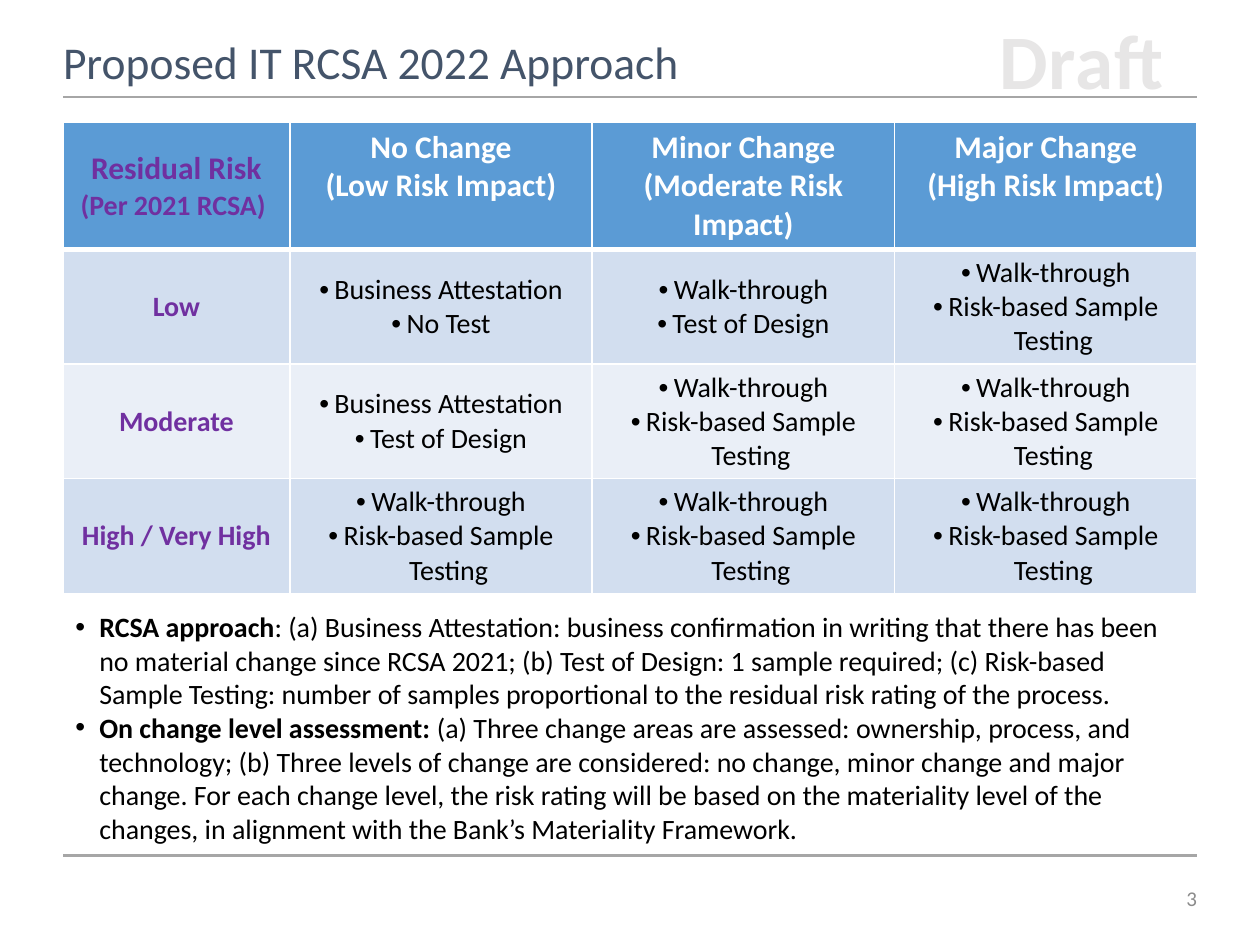
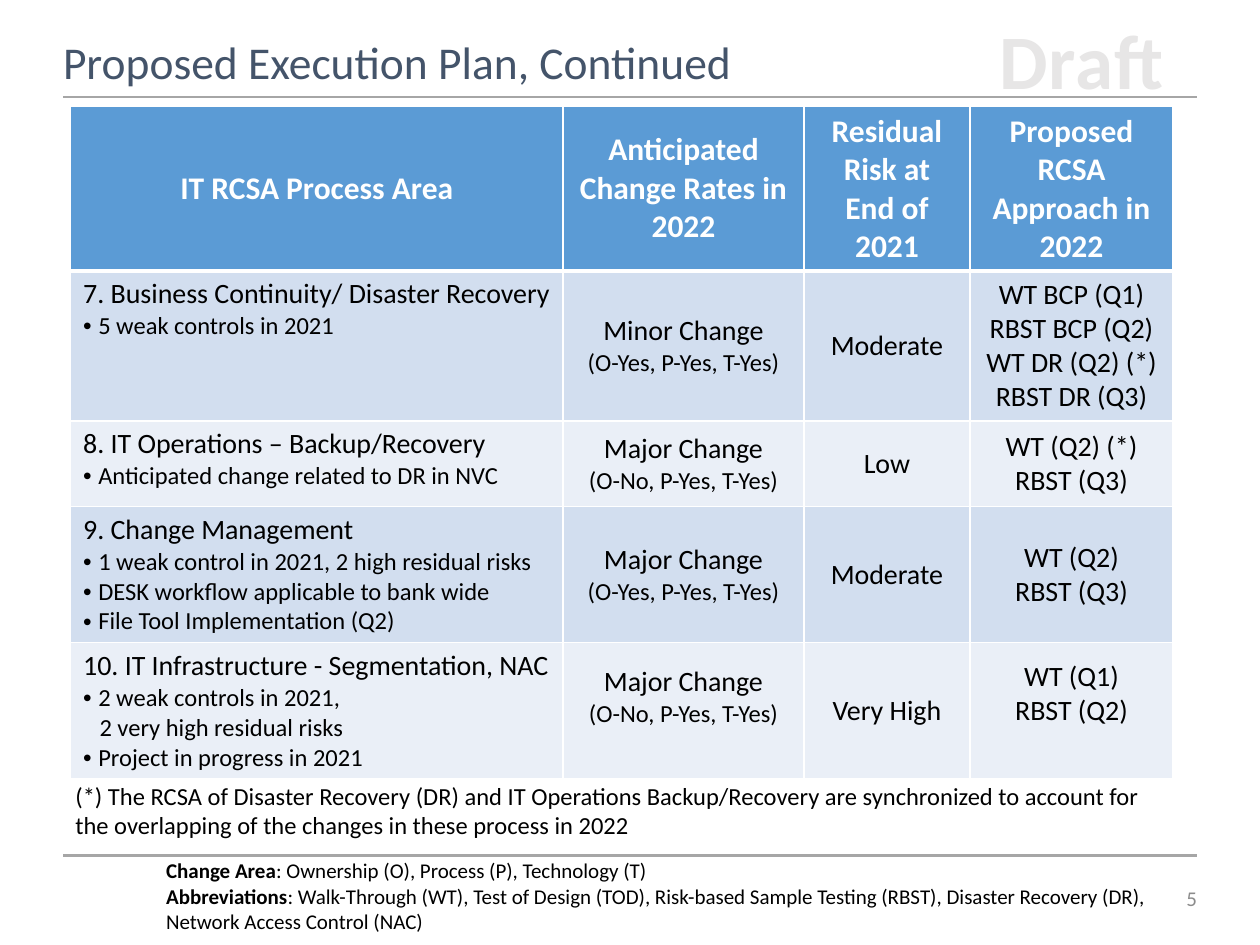
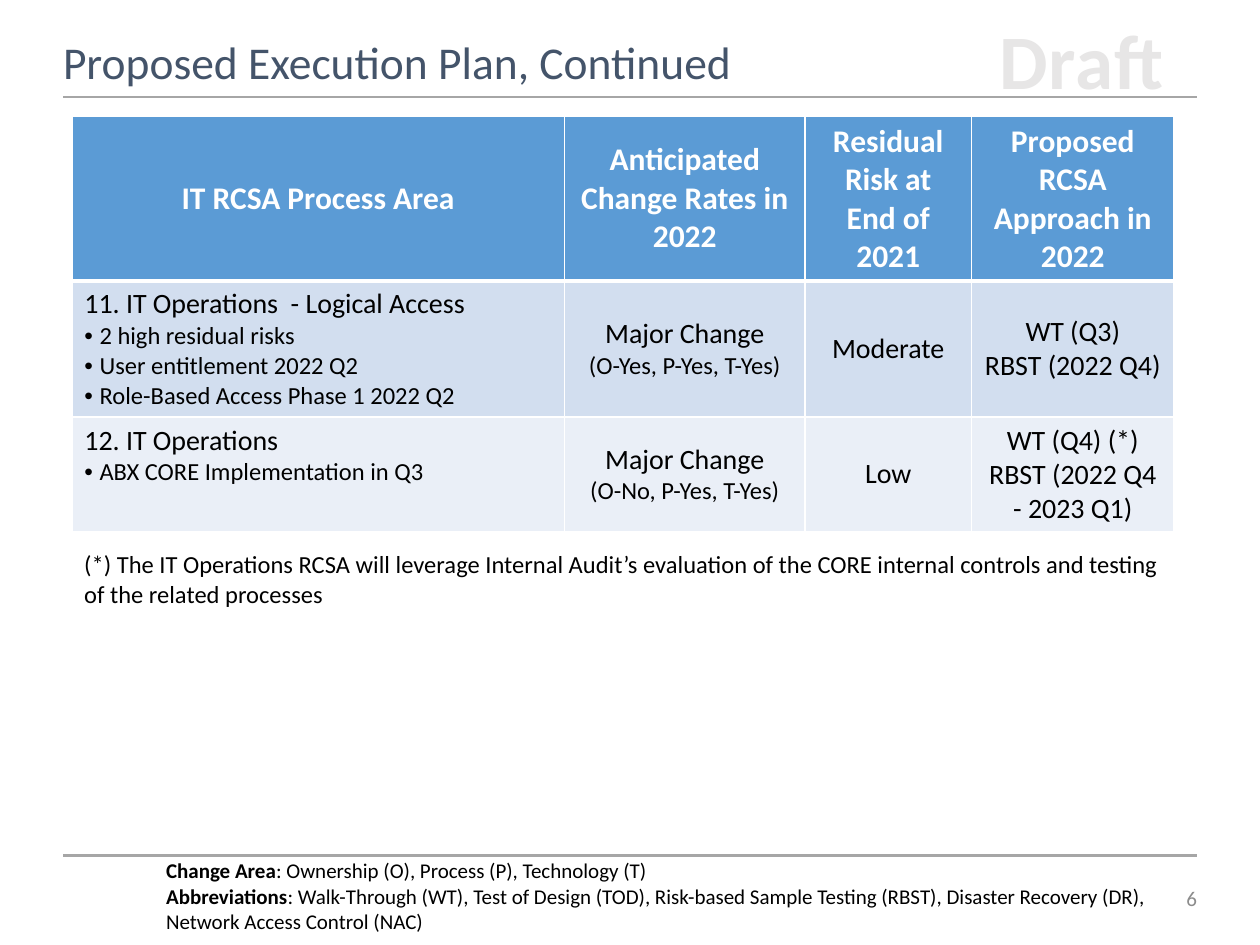
from lxml import etree
from pptx import Presentation
from pptx.dml.color import RGBColor
from pptx.enum.shapes import MSO_CONNECTOR
from pptx.enum.text import MSO_ANCHOR, MSO_AUTO_SIZE, PP_ALIGN
from pptx.oxml.ns import qn
from pptx.util import Inches, Pt

LEFT, CENTER, RIGHT = PP_ALIGN.LEFT, PP_ALIGN.CENTER, PP_ALIGN.RIGHT
TOP, MIDDLE, BOTTOM = MSO_ANCHOR.TOP, MSO_ANCHOR.MIDDLE, MSO_ANCHOR.BOTTOM
STRAIGHT = MSO_CONNECTOR.STRAIGHT
NO_AUTOFIT = MSO_AUTO_SIZE.NONE

FONT = "Calibri"
BLACK = RGBColor(0x00, 0x00, 0x00)
WHITE = RGBColor(0xFF, 0xFF, 0xFF)
SLATE = RGBColor(0x44, 0x54, 0x6A)
RULE_GRAY = RGBColor(0xA6, 0xA6, 0xA6)
NUMBER_GRAY = RGBColor(0x8C, 0x8C, 0x8C)
DRAFT_GRAY = RGBColor(0xE7, 0xE6, 0xE6)
PURPLE = RGBColor(0x70, 0x30, 0xA0)
HEADER_BLUE = RGBColor(0x5B, 0x9B, 0xD5)
BANDS = [RGBColor(0xD2, 0xDE, 0xEF), RGBColor(0xEA, 0xEF, 0xF7)]

BULLET = "• "
BULLET_INDENT = 0.12
RULE_TOPS = [0.77, 6.79]

ATTEST = "• Business Attestation"
NO_TEST = "• No Test"
WALK = "• Walk-through"
DESIGN = "• Test of Design"
SAMPLE = "• Risk-based Sample Testing"

APPROACH_HEADERS = [
    ["No Change", "(Low Risk Impact)"],
    ["Minor Change (Moderate Risk Impact)"],
    ["Major Change", "(High Risk Impact)"],
]
APPROACH_ROWS = [
    ("Low", [ATTEST, NO_TEST], [WALK, DESIGN], [WALK, SAMPLE]),
    ("Moderate", [ATTEST, DESIGN], [WALK, SAMPLE], [WALK, SAMPLE]),
    ("High / Very High", [WALK, SAMPLE], [WALK, SAMPLE], [WALK, SAMPLE]),
]
APPROACH_NOTES = [
    [("• RCSA approach", True),
     (": (a) Business Attestation: business confirmation in writing that there has been no "
      "material change since RCSA 2021; (b) Test of Design: 1 sample required; (c) Risk-based "
      "Sample Testing: number of samples proportional to the residual risk rating of the "
      "process.", False)],
    [("• On change level assessment: ", True),
     ("(a) Three change areas are assessed: ownership, process, and technology; (b) Three levels "
      "of change are considered: no change, minor change and major change. For each change "
      "level, the risk rating will be based on the materiality level of the changes, in "
      "alignment with the Bank’s Materiality Framework.", False)],
]

PLAN_TITLE = "Proposed Execution Plan, Continued"
PLAN_HEADERS = [
    ("IT RCSA Process Area", MIDDLE),
    ("Anticipated Change Rates in 2022", MIDDLE),
    ("Residual Risk at End of 2021", TOP),
    ("Proposed RCSA Approach in 2022", TOP),
]
ALL_CHANGE = "(O-Yes, P-Yes, T-Yes)"
NO_OWNER_CHANGE = "(O-No, P-Yes, T-Yes)"
PLAN_COLUMNS = [3.91, 1.91, 1.32, 1.61]
PLAN_HEADER_HEIGHT = 1.31

PLANS = [
    {
        "number": 5, "left": 0.56, "top": 0.84,
        "heights": [1.19, 0.68, 1.08, 1.08],
        "rows": [
            (["7. Business Continuity/ Disaster Recovery", "• 5 weak controls in 2021"],
             ["Minor Change", ALL_CHANGE], "Moderate",
             ["WT BCP (Q1)", "RBST BCP (Q2)", "WT DR (Q2) (*) RBST DR (Q3)"]),
            (["8. IT Operations – Backup/Recovery", "• Anticipated change related to DR in NVC"],
             ["Major Change", NO_OWNER_CHANGE], "Low", ["WT (Q2) (*)", "RBST (Q3)"]),
            (["9. Change Management", "• 1 weak control in 2021, 2 high residual risks",
              "• DESK workflow applicable to bank wide", "• File Tool Implementation (Q2)"],
             ["Major Change", ALL_CHANGE], "Moderate", ["WT (Q2)", "RBST (Q3)"]),
            (["10. IT Infrastructure - Segmentation, NAC", "• 2 weak controls in 2021,",
              "2 very high residual risks", "• Project in progress in 2021"],
             ["Major Change", NO_OWNER_CHANGE], "Very High", ["WT (Q1)", "RBST (Q2)"]),
        ],
        "raised": {(4, 1): 0.27, (4, 3): 0.32},
        "note": ("(*) The RCSA of Disaster Recovery (DR) and IT Operations Backup/Recovery are "
                 "synchronized to account for the overlapping of the changes in these process "
                 "in 2022"),
        "note_at": (0.5, 6.15, 8.74, 0.57),
    },
    {
        "number": 6, "left": 0.57, "top": 0.92,
        "heights": [1.08, 0.91],
        "rows": [
            (["11. IT Operations  - Logical Access", "• 2 high residual risks",
              "• User entitlement 2022 Q2", "• Role-Based Access Phase 1 2022 Q2"],
             ["Major Change", ALL_CHANGE], "Moderate", ["WT (Q3)", "RBST (2022 Q4)"]),
            (["12. IT Operations", "• ABX CORE Implementation in Q3"],
             ["Major Change", NO_OWNER_CHANGE], "Low",
             ["WT (Q4) (*)", "RBST (2022 Q4 - 2023 Q1)"]),
        ],
        "raised": {},
        "note": ("(*) The IT Operations RCSA will leverage Internal Audit’s evaluation of the "
                 "CORE internal controls and testing of the related processes"),
        "note_at": (0.57, 4.31, 8.74, 0.57),
    },
]
LEGEND = [
    [("Change Area", True), (": Ownership (O), Process (P), Technology (T)", False)],
    [("Abbreviations", True),
     (": Walk-Through (WT), Test of Design (TOD), Risk-based Sample Testing (RBST), Disaster "
      "Recovery (DR), Network Access Control (NAC)", False)],
]


def set_font(para, size, color, bold=None):
    para.font.name = FONT
    para.font.size = Pt(size)
    para.font.color.rgb = color
    if bold is not None:
        para.font.bold = bold


def indent(para, margin, bulleted=True):
    properties = para._p.get_or_add_pPr()
    properties.set("marL", str(Inches(margin)))
    properties.set("indent", str(-Inches(margin) if bulleted else 0))
    if bulleted:
        etree.SubElement(properties, qn("a:buFont")).set("typeface", "Arial")
        etree.SubElement(properties, qn("a:buChar")).set("char", "•")


def next_para(frame, index):
    return frame.paragraphs[0] if index == 0 else frame.add_paragraph()


def add_text(page, at, paragraphs, size, color=BLACK, align=LEFT):
    box = page.shapes.add_textbox(*map(Inches, at))
    frame = box.text_frame
    frame.word_wrap = True
    for index, spans in enumerate(paragraphs):
        para = next_para(frame, index)
        para.alignment = align
        set_font(para, size, color)
        if spans[0][0].startswith(BULLET):
            indent(para, 0.19)
        for text, bold in spans:
            span = para.add_run()
            span.text = text.removeprefix(BULLET)
            span.font.bold = bold
    return frame


def add_page(deck, title, number):
    page = deck.slides.add_slide(deck.slide_layouts[5])
    for top in RULE_TOPS:
        rule = page.shapes.add_connector(
            STRAIGHT, Inches(0.5), Inches(top), Inches(9.5), Inches(top))
        rule.line.color.rgb = RULE_GRAY
        rule.line.width = Pt(1.25)
        etree.SubElement(rule._element.spPr, qn("a:effectLst"))

    draft = add_text(page, (7.28, 0.05, 2.63, 0.84), [[("Draft", True)]], 44, DRAFT_GRAY, CENTER)
    draft.paragraphs[0].runs[0]._r.get_or_add_rPr().set("spc", "50")
    footer = add_text(page, (9.08, 6.96, 0.42, 0.33), [[(str(number), False)]],
                      12, NUMBER_GRAY, RIGHT)
    footer.vertical_anchor = MIDDLE
    footer.margin_right = 0

    heading = page.shapes.title
    heading.left, heading.top, heading.width, heading.height = map(Inches, (0.5, 0.25, 9, 0.5))
    frame = heading.text_frame
    frame.text = title
    frame.auto_size = NO_AUTOFIT
    frame.vertical_anchor = BOTTOM
    frame.margin_left = 0
    frame.paragraphs[0].alignment = LEFT
    set_font(frame.paragraphs[0], 26, SLATE)
    return page


def add_borders(cell, row):
    widths = {"lnL": 1, "lnR": 1, "lnT": 3 if row == 1 else 1, "lnB": 3 if row == 0 else 1}
    properties = cell._tc.get_or_add_tcPr()
    for position, (side, width) in enumerate(widths.items()):
        line = etree.Element(qn(f"a:{side}"), w=str(Pt(width)))
        fill = etree.SubElement(line, qn("a:solidFill"))
        etree.SubElement(fill, qn("a:srgbClr")).set("val", str(WHITE))
        properties.insert(position, line)


def add_grid(page, left, top, columns, heights):
    frame = page.shapes.add_table(len(heights), len(columns), Inches(left), Inches(top),
                                  Inches(sum(columns)), Inches(sum(heights)))
    table = frame.table
    for column, width in zip(table.columns, columns):
        column.width = Inches(width)
    for index, (row, height) in enumerate(zip(table.rows, heights)):
        row.height = Inches(height)
        for cell in row.cells:
            cell.fill.solid()
            cell.fill.fore_color.rgb = HEADER_BLUE if index == 0 else BANDS[(index - 1) % 2]
            add_borders(cell, index)
    return table


def fill_cell(cell, lines, first_size, next_size=None, color=BLACK, bold=False,
              align=CENTER, anchor=MIDDLE):
    cell.vertical_anchor = anchor
    for index, text in enumerate(lines):
        para = next_para(cell.text_frame, index)
        para.text = text.removeprefix(BULLET)
        para.alignment = align
        set_font(para, next_size if index and next_size else first_size, color, bold)
        if text.startswith(BULLET):
            indent(para, BULLET_INDENT)
        elif index and align == LEFT:
            indent(para, 0.13, bulleted=False)


def add_approach_page(deck):
    page = add_page(deck, "Proposed IT RCSA 2022 Approach", 3)
    table = add_grid(page, 0.5, 0.97, [1.8] + [2.4] * 3, [1.01] + [0.91] * 3)
    corner = table.cell(0, 0)
    fill_cell(corner, ["Residual Risk", "(Per 2021 RCSA) "], 18, 16, PURPLE, True, anchor=TOP)
    corner.margin_top = Inches(0.22)
    for column, lines in enumerate(APPROACH_HEADERS, 1):
        fill_cell(table.cell(0, column), lines, 18, color=WHITE, bold=True, anchor=TOP)
    for row, (level, *actions) in enumerate(APPROACH_ROWS, 1):
        fill_cell(table.cell(row, 0), [level], 16, color=PURPLE, bold=True)
        for column, lines in enumerate(actions, 1):
            fill_cell(table.cell(row, column), lines, 16)
    add_text(page, (0.5, 4.79, 8.87, 1.79), APPROACH_NOTES, 16)


def add_plan_page(deck, plan):
    page = add_page(deck, PLAN_TITLE, plan["number"])
    table = add_grid(page, plan["left"], plan["top"], PLAN_COLUMNS,
                     [PLAN_HEADER_HEIGHT] + plan["heights"])
    for column, (text, anchor) in enumerate(PLAN_HEADERS):
        fill_cell(table.cell(0, column), [text], 18, color=WHITE, bold=True, anchor=anchor)
    for row, (area, change, risk, approach) in enumerate(plan["rows"], 1):
        fill_cell(table.cell(row, 0), area, 16, 14, align=LEFT, anchor=TOP)
        fill_cell(table.cell(row, 1), change, 16, 14)
        fill_cell(table.cell(row, 2), [risk], 16)
        fill_cell(table.cell(row, 3), approach, 16)
    for (row, column), margin in plan["raised"].items():
        table.cell(row, column).margin_bottom = Inches(margin)
    add_text(page, plan["note_at"], [[(plan["note"], False)]], 14)
    add_text(page, (1.22, 6.76, 8.07, 0.71), LEGEND, 12)


def main():
    deck = Presentation()
    deck.slide_width, deck.slide_height = Inches(10), Inches(7.5)
    add_approach_page(deck)
    for plan in PLANS:
        add_plan_page(deck, plan)
    deck.save("out.pptx")


if __name__ == "__main__":
    main()
